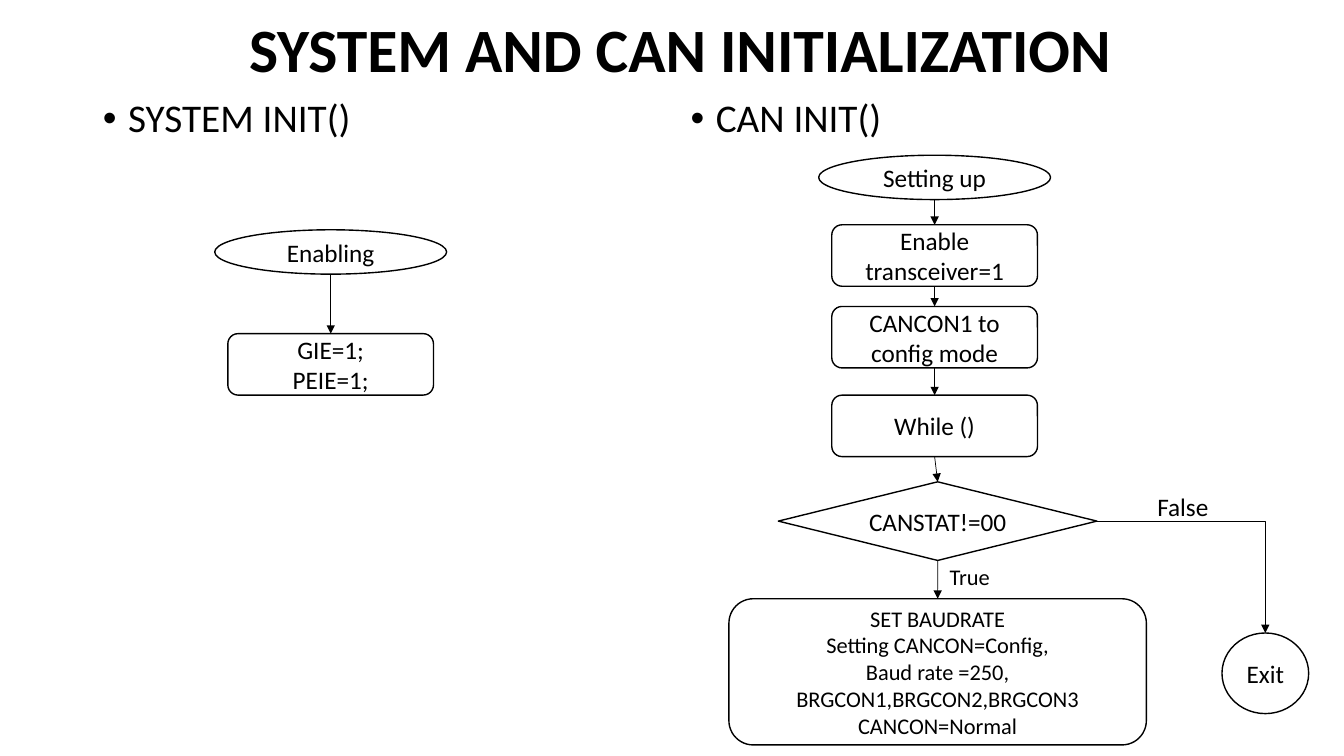
from pptx import Presentation
from pptx.dml.color import RGBColor
from pptx.enum.shapes import MSO_CONNECTOR as Link, MSO_SHAPE as Kind
from pptx.enum.text import MSO_ANCHOR as Anchor, MSO_AUTO_SIZE as Fit, PP_ALIGN as Align
from pptx.oxml.ns import qn
from pptx.util import Inches, Pt
from lxml import etree


def color(code):
    return RGBColor.from_string(code)


def write(shape, text, size, align, bold=False):
    frame = shape.text_frame
    frame.word_wrap = True
    frame.text = text
    for para in frame.paragraphs:
        para.alignment = align
        for run in para.runs:
            font = run.font
            font.name = "Calibri"
            font.size = Pt(size)
            font.bold = bold
            font.color.rgb = color("000000")


deck = Presentation()
deck.slide_width, deck.slide_height = Inches(13.33), Inches(7.5)
slide = deck.slides.add_slide(deck.slide_layouts[3])
shapes = slide.shapes
title, left, right = slide.placeholders

heads = [
    (title, "SYSTEM AND CAN INITIALIZATION", 1, 0.12, 11.5, 0.8, 44),
    (left, "SYSTEM INIT()", 0.92, 0.93, 5.67, 5.83, 28),
    (right, "CAN INIT()", 6.75, 0.93, 5.67, 5.83, 28),
]
for head, text, x, y, w, h, size in heads:
    head.left, head.top, head.width, head.height = map(Inches, (x, y, w, h))
    top = head is title
    write(head, text, size, Align.CENTER if top else Align.LEFT, top)
    head.text_frame.auto_size = Fit.NONE
    head.text_frame.vertical_anchor = Anchor.MIDDLE if top else Anchor.TOP
    para = head.text_frame.paragraphs[0]
    para.line_spacing = 0.9
    if not top:
        para.space_before = Pt(10)
        props = para._p.get_or_add_pPr()
        props.set("marL", str(Inches(0.25)))
        props.set("indent", str(Inches(-0.25)))
        etree.SubElement(props, qn("a:buFont")).set("typeface", "Arial")
        etree.SubElement(props, qn("a:buChar")).set("char", "•")

oval, box, test = Kind.OVAL, Kind.ROUNDED_RECTANGLE, Kind.FLOWCHART_DECISION
baud = "\n".join([
    "SET BAUDRATE",
    "Setting CANCON=Config,",
    "Baud rate =250,",
    "BRGCON1,BRGCON2,BRGCON3",
    "CANCON=Normal",
])
steps = [
    ("enable", oval, "Enabling", 3.28, 2.28, 2.3, 0.44, 18),
    ("flags", box, "GIE=1;\nPEIE=1;", 3.28, 3.31, 2.04, 0.61, 18),
    ("setup", oval, "Setting up", 9.27, 1.54, 2.3, 0.44, 18),
    ("power", box, "Enable transceiver=1", 9.27, 2.23, 2.04, 0.61, 18),
    ("config", box, "CANCON1 to config mode", 9.27, 3.04, 2.04, 0.61, 18),
    ("while", box, "While ()", 9.27, 3.92, 2.04, 0.61, 18),
    ("status", test, "CANSTAT!=00", 9.3, 4.78, 3.16, 0.78, 18),
    ("baud", box, baud, 9.3, 5.94, 4.14, 1.45, 16),
    ("exit", oval, "Exit", 12.55, 6.28, 0.86, 0.8, 18),
]
nodes = {}
for name, kind, text, mid, y, w, h, size in steps:
    node = shapes.add_shape(kind, *map(Inches, (mid - w / 2, y, w, h)))
    node.shadow.inherit = False
    node.fill.solid()
    node.fill.fore_color.rgb = color("FFFFFF")
    node.line.color.rgb = color("000000")
    node.line.width = Pt(1)
    node.text_frame.vertical_anchor = Anchor.MIDDLE
    write(node, text, size, Align.CENTER)
    nodes[name] = node

links = [
    ("enable", 4, "flags"),
    ("setup", 4, "power"),
    ("power", 2, "config"),
    ("config", 2, "while"),
    ("while", 2, "status"),
    ("status", 2, "baud"),
    ("status", 3, "exit"),
]
for start, site, end in links:
    bent = end == "exit"
    arrow = shapes.add_connector(Link.ELBOW if bent else Link.STRAIGHT, 0, 0, 0, 0)
    source, target = nodes[start], nodes[end]
    arrow.begin_connect(source, 3 if bent else 2)
    arrow.end_connect(target, 0)
    arrow._element.find(".//" + qn("a:stCxn")).set("idx", str(site))
    arrow.line.color.rgb = color("000000")
    arrow.line.width = Pt(0.5)
    props = arrow._element.spPr
    if bent:
        props.find(qn("a:prstGeom")).set("prst", "bentConnector2")
    etree.SubElement(props.find(qn("a:ln")), qn("a:tailEnd")).set("type", "triangle")
    etree.SubElement(props, qn("a:effectLst"))

labels = [("False", 11.38, 4.83, 0.86, 0.4, 18), ("True", 9.32, 5.54, 0.8, 0.37, 16)]
for text, x, y, w, h, size in labels:
    label = shapes.add_textbox(*map(Inches, (x, y, w, h)))
    write(label, text, size, Align.LEFT)

deck.save("out.pptx")
